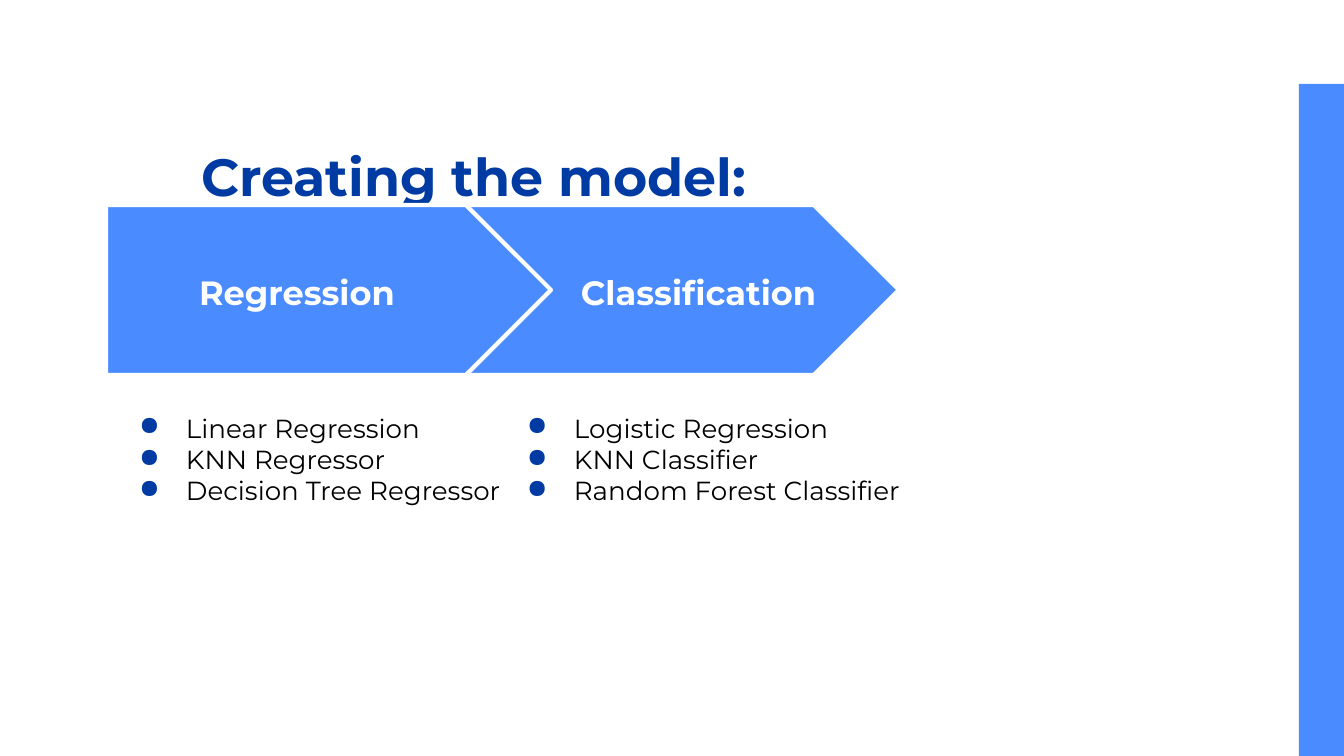
from dataclasses import dataclass

import pptx
import pptx.dml.color
import pptx.enum.shapes
import pptx.enum.text
import pptx.oxml
import pptx.oxml.ns
import pptx.util

EMU_PER_PX = 914400 / 134.4
ANCHOR = pptx.enum.text.MSO_ANCHOR
ALIGN = pptx.enum.text.PP_ALIGN
SHAPE = pptx.enum.shapes.MSO_SHAPE


def px(length):
    return pptx.util.Emu(round(length * EMU_PER_PX))


def rgb(value):
    return pptx.dml.color.RGBColor.from_string(value)


@dataclass(frozen=True)
class Theme:
    font: str = "Montserrat"
    blue: str = "4A8CFF"
    navy: str = "003BA3"
    white: str = "FFFFFF"
    black: str = "000000"
    title_size: int = 28
    label_size: int = 18
    list_size: int = 14
    outline: float = 2.25


class SlideBuilder:
    def __init__(self, slide, theme):
        self.slide = slide
        self.theme = theme

    def set_text(self, shape, lines, size, color, bold=False,
                 align=ALIGN.LEFT, anchor=ANCHOR.TOP, bulleted=False):
        frame = shape.text_frame
        frame.word_wrap = True
        frame.auto_size = pptx.enum.text.MSO_AUTO_SIZE.NONE
        frame.vertical_anchor = anchor
        frame.margin_left = frame.margin_right = px(13)
        frame.margin_top = frame.margin_bottom = px(13)
        frame.text = "\n".join(lines)
        for paragraph in frame.paragraphs:
            if bulleted:
                self.add_bullet(paragraph)
            paragraph.alignment = align
            paragraph.space_before = pptx.util.Pt(0)
            paragraph.line_spacing = 1.0
            for run in paragraph.runs:
                run.font.name = self.theme.font
                run.font.size = pptx.util.Pt(size)
                run.font.bold = bold
                run.font.color.rgb = rgb(color)

    def add_bullet(self, paragraph):
        properties = paragraph._p.get_or_add_pPr()
        properties.set("marL", str(px(67)))
        properties.set("indent", str(px(-47)))
        namespace = pptx.oxml.ns.nsdecls("a")
        for xml in (
            f'<a:buClr {namespace}><a:srgbClr val="{self.theme.navy}"/></a:buClr>',
            f'<a:buChar {namespace} char="●"/>',
        ):
            properties.append(pptx.oxml.parse_xml(xml))

    def title(self, text, left, top, width, height):
        shape = self.slide.shapes.title
        shape.left, shape.top = px(left), px(top)
        shape.width, shape.height = px(width), px(height)
        self.set_text(shape, [text], self.theme.title_size, self.theme.navy,
                      bold=True, anchor=ANCHOR.MIDDLE)

    def block(self, kind, left, top, width, height, outlined=False):
        shape = self.slide.shapes.add_shape(
            kind, px(left), px(top), px(width), px(height))
        shape.shadow.inherit = False
        shape.fill.solid()
        shape.fill.fore_color.rgb = rgb(self.theme.blue)
        if outlined:
            shape.line.color.rgb = rgb(self.theme.white)
            shape.line.width = pptx.util.Pt(self.theme.outline)
        else:
            shape.line.fill.background()

    def text_box(self, left, top, width, height):
        return self.slide.shapes.add_textbox(
            px(left), px(top), px(width), px(height))

    def label(self, text, left, top, width, height):
        self.set_text(self.text_box(left, top, width, height), [text],
                      self.theme.label_size, self.theme.white,
                      bold=True, align=ALIGN.CENTER)

    def bullet_list(self, items, left, top, width, height):
        self.set_text(self.text_box(left, top, width, height), items,
                      self.theme.list_size, self.theme.black, bulleted=True)


def main():
    presentation = pptx.Presentation()
    presentation.slide_width, presentation.slide_height = px(1344), px(756)
    slide = presentation.slides.add_slide(presentation.slide_layouts[5])
    builder = SlideBuilder(slide, Theme())

    # Side bar and title
    builder.block(SHAPE.RECTANGLE, 1299, 84, 45, 672)
    builder.title("Creating the model:", 188, 128, 589, 95)

    # Arrows, right one first so that the left one overlaps it
    for left in (454, 106):
        builder.block(SHAPE.PENTAGON, left, 205, 445, 170, outlined=True)

    # Arrow labels
    builder.label("Regression", 169, 259, 256, 67)
    builder.label("Classification", 561, 259, 275, 67)

    # Models under each arrow
    builder.bullet_list(
        ["Linear Regression", "KNN Regressor", "Decision Tree Regressor"],
        106, 399, 424, 245)
    builder.bullet_list(
        ["Logistic Regression", "KNN Classifier", "Random Forest Classifier"],
        494, 399, 474, 245)

    presentation.save("out.pptx")


if __name__ == "__main__":
    main()
